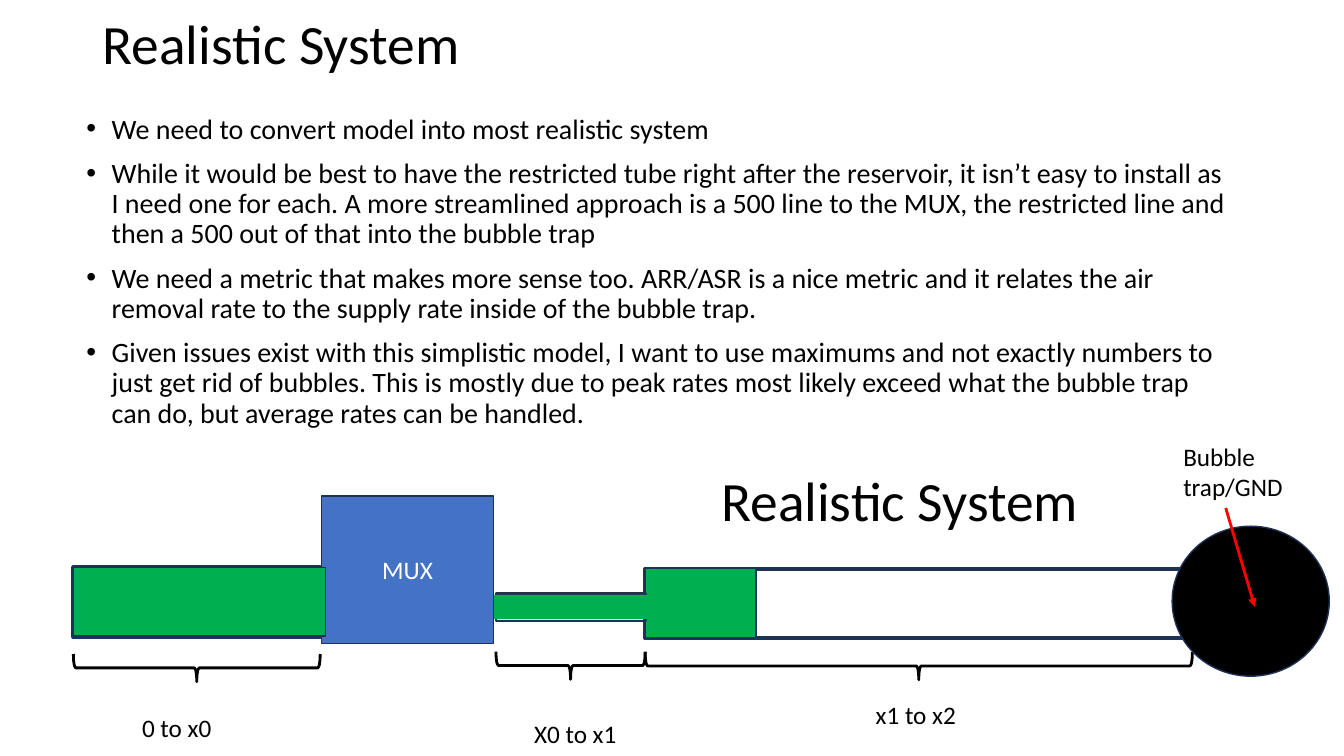
from lxml.etree import SubElement
from pptx import Presentation
from pptx.dml.color import RGBColor
from pptx.enum.shapes import MSO_CONNECTOR as Connector, MSO_SHAPE as Shape
from pptx.enum.text import MSO_ANCHOR as Anchor, PP_ALIGN as Align
from pptx.oxml.ns import qn
from pptx.util import Cm, Pt

BLACK, WHITE, NAVY = "000000", "FFFFFF", "1E3256"
GREEN, BLUE, RED = "00B050", "4472C4", "FF0000"
TITLE_SIZE, BODY_SIZE, LABEL_SIZE = 39.6, 20, 18

BULLETS = [
    "We need to convert model into most realistic system",
    "While it would be best to have the restricted tube right after the reservoir, "
    "it isn’t easy to install as I need one for each. A more streamlined approach is "
    "a 500 line to the MUX, the restricted line and then a 500 out of that into the "
    "bubble trap",
    "We need a metric that makes more sense too. ARR/ASR is a nice metric and it "
    "relates the air removal rate to the supply rate inside of the bubble trap.",
    "Given issues exist with this simplistic model, I want to use maximums and not "
    "exactly numbers to just get rid of bubbles. This is mostly due to peak rates most "
    "likely exceed what the bubble trap can do, but average rates can be handled.",
]


def color(value):
    return RGBColor.from_string(value)


def apply_format(target, values):
    for name, value in values.items():
        setattr(target, name, value)


def write(paragraph, text, size, font_color=BLACK, **layout):
    paragraph.add_run().text = text
    apply_format(paragraph, layout)
    apply_format(paragraph.font, {"name": "Calibri", "size": Pt(size)})
    paragraph.font.color.rgb = color(font_color)


def add_text(slide, box, text, size, anchor=Anchor.TOP, **layout):
    frame = slide.shapes.add_textbox(*map(Cm, box)).text_frame
    apply_format(frame, {"word_wrap": True, "vertical_anchor": anchor})
    write(frame.paragraphs[0], text, size, **layout)


def add_block(slide, kind, box, fill=None, line=None, width=1):
    shape = slide.shapes.add_shape(kind, *map(Cm, box))
    shape.shadow.inherit = False
    if fill:
        shape.fill.solid()
        shape.fill.fore_color.rgb = color(fill)
    else:
        shape.fill.background()
    if line:
        shape.line.color.rgb = color(line)
        shape.line.width = Pt(width)
    else:
        shape.line.fill.background()
    return shape


def add_arrow(slide, start, end):
    arrow = slide.shapes.add_connector(Connector.STRAIGHT, *map(Cm, start + end))
    arrow.line.color.rgb = color(RED)
    arrow.line.width = Pt(2)
    SubElement(arrow.line._get_or_add_ln(), qn("a:tailEnd"), type="triangle")
    SubElement(arrow._element.spPr, qn("a:effectLst"))


def add_brace(slide, left, top, width, height=0.7):
    box = (left + (width - height) / 2, top + (height - width) / 2, height, width)
    add_block(slide, Shape.LEFT_BRACE, box, line=BLACK, width=2).rotation = 270


def draw_heading(slide, box, line_spacing):
    add_text(slide, box, "Realistic System", TITLE_SIZE, Anchor.MIDDLE,
             line_spacing=line_spacing)


def draw_bullets(slide, box):
    frame = slide.shapes.add_textbox(*map(Cm, box)).text_frame
    frame.word_wrap = True
    for index, text in enumerate(BULLETS):
        paragraph = frame.add_paragraph() if index else frame.paragraphs[0]
        properties = paragraph._p.get_or_add_pPr()
        properties.set("marL", str(Cm(0.635)))
        properties.set("indent", str(-Cm(0.635)))
        SubElement(properties, qn("a:buFont"), typeface="Arial")
        SubElement(properties, qn("a:buChar"), char="•")
        write(paragraph, text, BODY_SIZE, line_spacing=0.9,
              space_before=Pt(10 if index else 0))


def draw_tube(slide, box, line_width, liquid, liquid_line, brace_gap, label, label_offset):
    left, top, width, height = box
    start, inset, length, depth = liquid
    add_block(slide, Shape.RECTANGLE, box, line=NAVY, width=line_width)
    add_block(slide, Shape.RECTANGLE, (left + start, top + inset, length, depth),
              GREEN, liquid_line)
    add_brace(slide, left, top + height + brace_gap, width)
    across, down = label_offset
    add_text(slide, (left + across, top + down, 4.14, 1.02), label, LABEL_SIZE)


def draw_mux(slide, box):
    mux = add_block(slide, Shape.RECTANGLE, box, BLUE, NAVY)
    mux.text_frame.vertical_anchor = Anchor.MIDDLE
    write(mux.text_frame.paragraphs[0], "MUX", LABEL_SIZE, WHITE, alignment=Align.CENTER)


def draw_trap(slide, box):
    left, top, width, height = box
    add_block(slide, Shape.OVAL, box, BLACK, NAVY)
    add_arrow(slide, (left + 1.35, top - 0.46), (left + 2.08, top + 2.03))
    add_text(slide, (left + 0.03, top - 2.26, 4.11, 1.8), "Bubble trap/GND", LABEL_SIZE)


def draw_system(slide, box):
    left, top, width, height = box
    draw_heading(slide, (left + 16.08, top, 10.46, 1.68), 0.8)
    draw_tube(slide, (left + 14.41, top + 2.42, 13.79, 1.75), 3,
              (0, 0, 2.79, 1.73), NAVY, 0.35, "x1 to x2", (5.56, 3.17))
    draw_trap(slide, (left + width - 3.96, top + 1.35, 3.96, 3.78))
    draw_tube(slide, (left + 10.65, top + 3.05, 3.76, 0.69), 2,
              (-0.56, 0.03, 4.6, 0.61), None, 0.77, "X0 to x1", (0.71, 3.02))
    draw_mux(slide, (left + 6.25, top + 0.59, 4.34, 3.71))
    draw_tube(slide, (left, top + 2.39, 6.22, 1.75), 3,
              (0, 0, 6.35, 1.73), NAVY, 0.43, "0 to x0", (1.48, 3.53))


def main():
    presentation = Presentation()
    apply_format(presentation, {"slide_width": Cm(33.87), "slide_height": Cm(19.05)})
    slide = presentation.slides.add_slide(presentation.slide_layouts[6])
    draw_heading(slide, (2.34, 0.46, 29.21, 1.42), 0.9)
    draw_bullets(slide, (1.93, 2.77, 29.21, 8.23))
    draw_system(slide, (1.85, 11.91, 31.65, 7.14))
    presentation.save("out.pptx")


if __name__ == "__main__":
    main()
